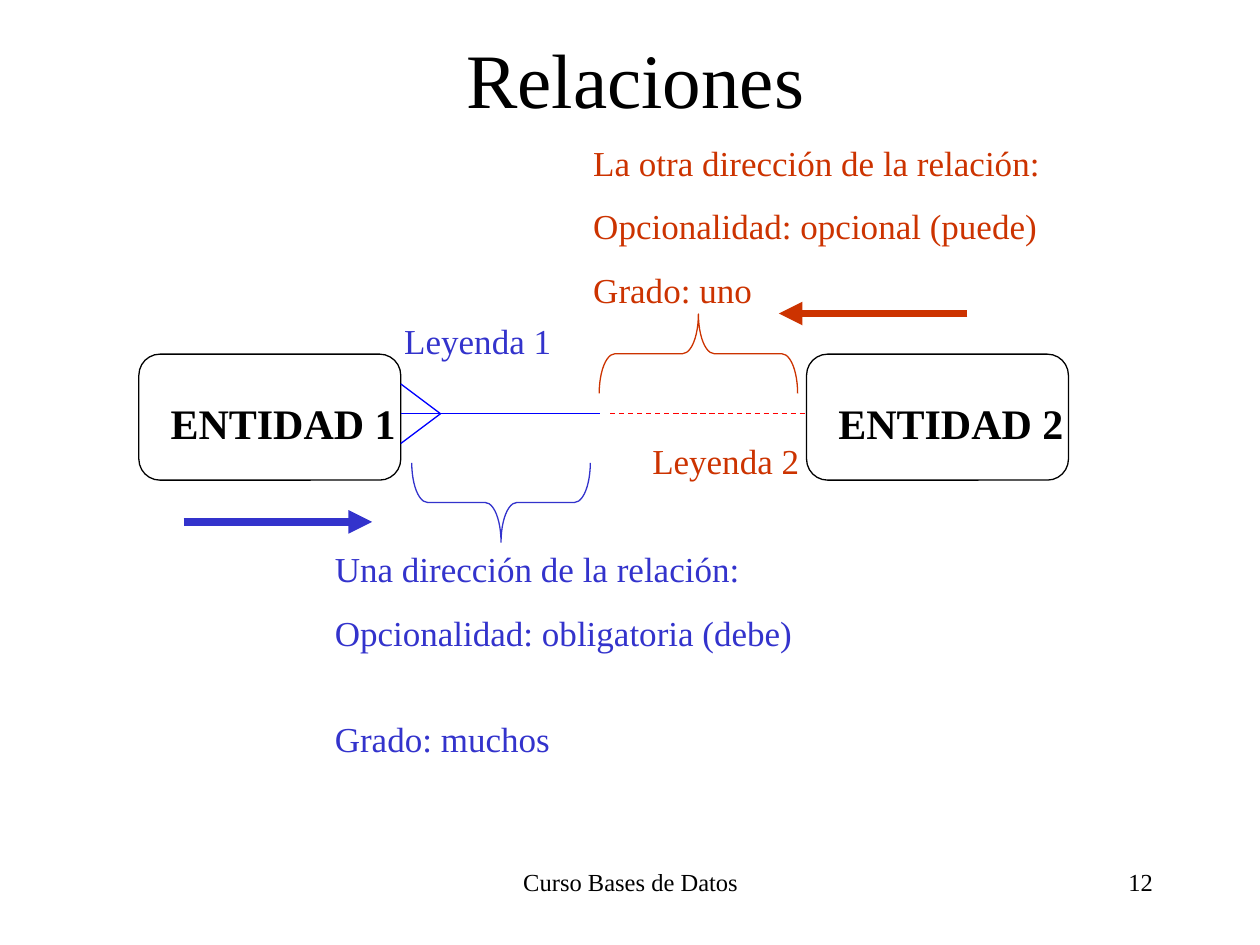
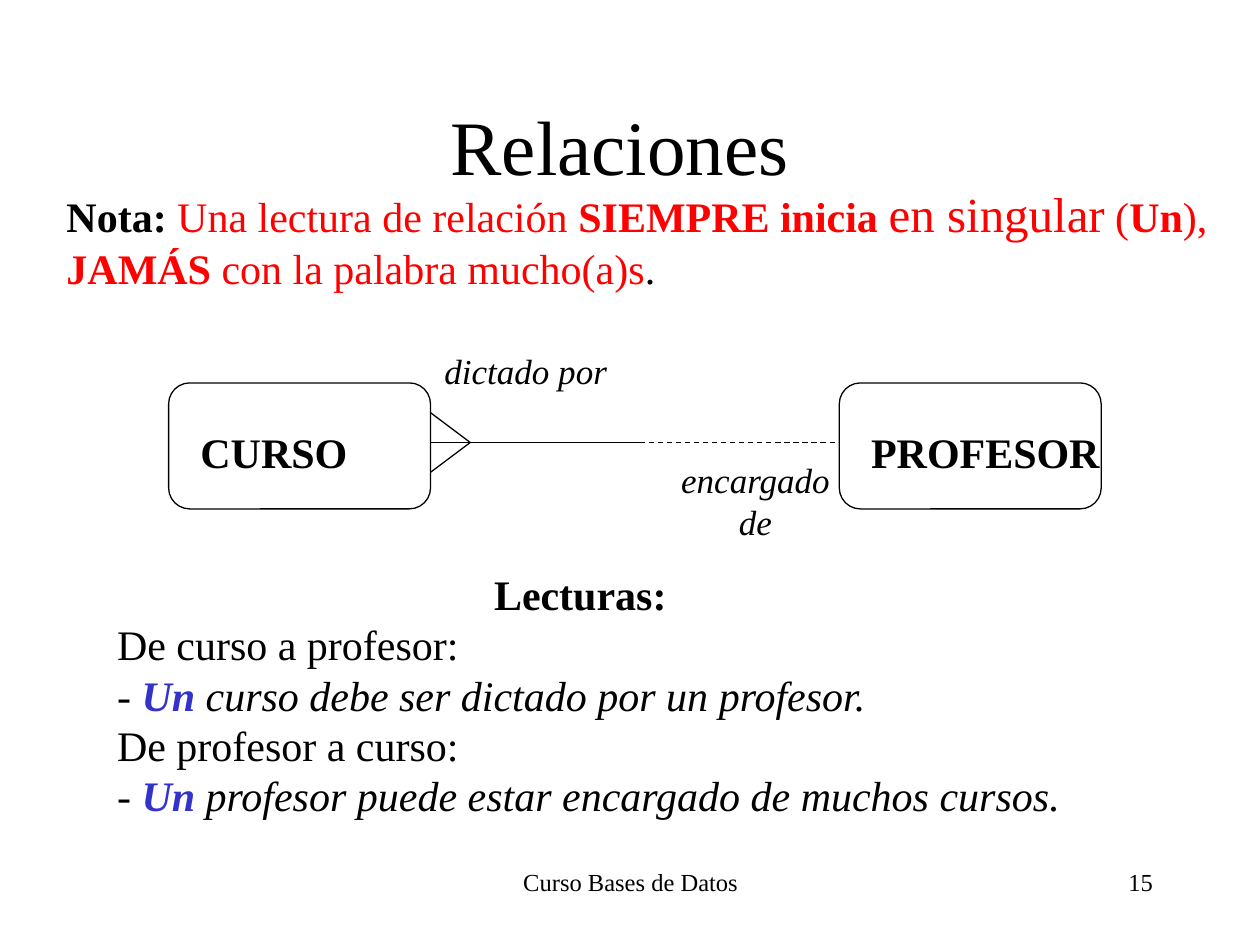
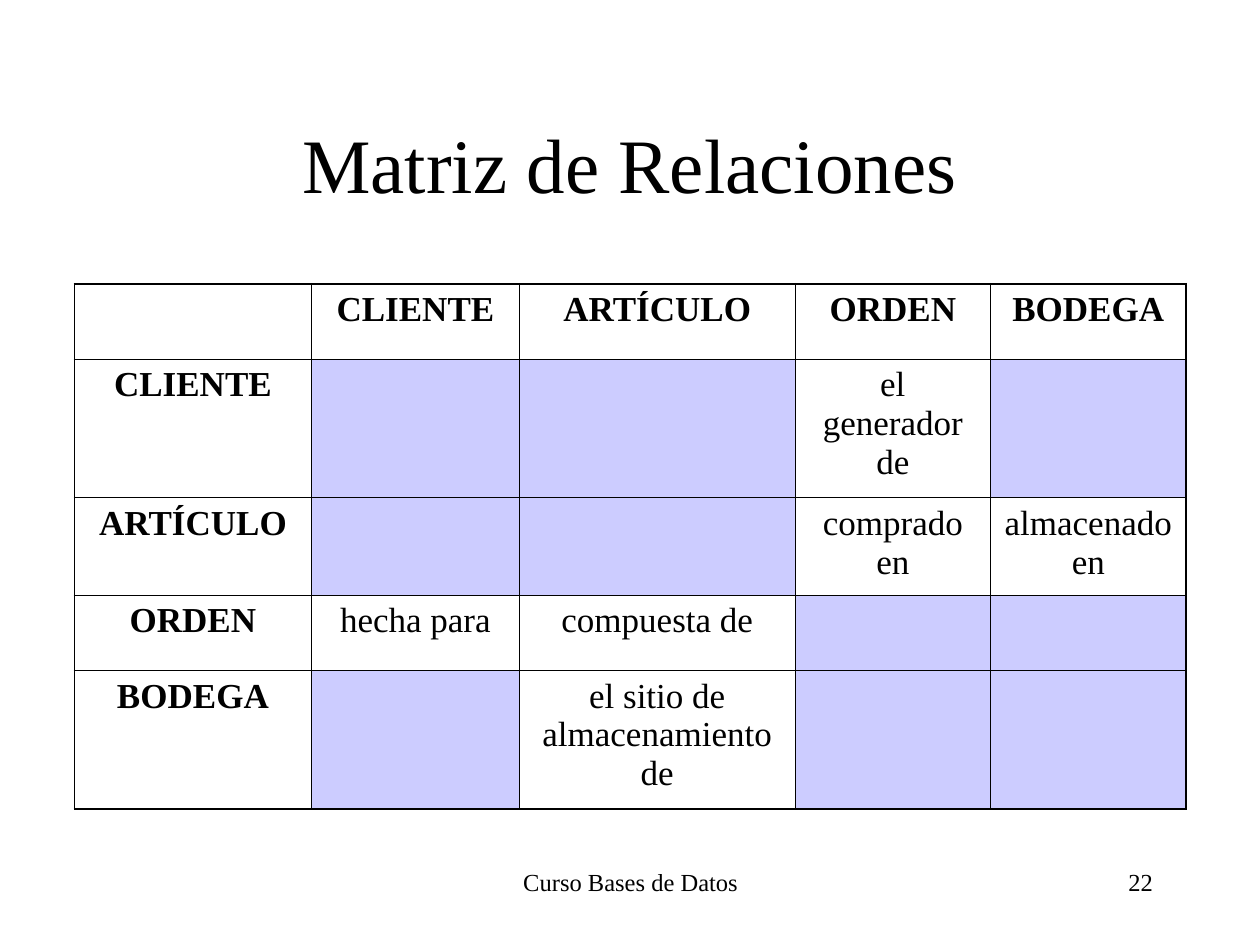
from itertools import product

from lxml.etree import SubElement
from pptx import Presentation
from pptx.dml.color import RGBColor
from pptx.enum.dml import MSO_LINE
from pptx.enum.shapes import MSO_CONNECTOR, MSO_SHAPE
from pptx.enum.text import MSO_ANCHOR as Anchor, PP_ALIGN as Align
from pptx.oxml.ns import qn
from pptx.util import Cm, Pt

BLACK = RGBColor(0x00, 0x00, 0x00)
BLUE = RGBColor(0x00, 0x00, 0xFF)
RED = RGBColor(0xFF, 0x00, 0x00)
INDIGO = RGBColor(0x33, 0x33, 0xCC)
RUST = RGBColor(0xCC, 0x33, 0x00)
LAVENDER = RGBColor(0xCC, 0xCC, 0xFF)

FONT = "Times New Roman"
FOOTER = "Curso Bases de Datos"
THIN = 0.75
ENTITY_WIDTH, ENTITY_HEIGHT = 5.28, 2.54
FOOT_LENGTH, FOOT_SPREAD = 0.8, 0.6

BOLD = {"bold": True}
ITALIC = {"italic": True}
ACCENT = {"bold": True, "italic": True, "color": INDIGO}


class Deck:
    def __init__(self):
        self.deck = Presentation()
        self.deck.slide_width, self.deck.slide_height = Cm(25.4), Cm(19.05)
        self.page = None

    def start_page(self, title, title_box, number):
        self.page = self.deck.slides.add_slide(self.deck.slide_layouts[6])
        self.text(8.69, 17.35, 8.05, 1.27, [FOOTER], size=14, align=Align.CENTER)
        self.text(18.21, 17.35, 5.28, 1.27, [number], size=14, align=Align.RIGHT)
        self.text(*title_box, [title], size=44, align=Align.CENTER, anchor=Anchor.MIDDLE)

    def fill_para(self, para, content, align=Align.LEFT, before=0, **style):
        """Fill a paragraph with a string or with (text, format) spans."""
        para.alignment, para.space_before = align, Pt(before)
        spans = [(content, {})] if isinstance(content, str) else content
        for words, changes in spans:
            span = para.add_run()
            span.text = words
            values = {"name": FONT, "size": 20, "color": BLACK, **style, **changes}
            span.font.color.rgb = values.pop("color")
            values["size"] = Pt(values["size"])
            for key, value in values.items():
                setattr(span.font, key, value)

    def text(self, left, top, width, height, lines, anchor=Anchor.TOP, **style):
        box = self.page.shapes.add_textbox(Cm(left), Cm(top), Cm(width), Cm(height))
        frame = box.text_frame
        frame.word_wrap, frame.vertical_anchor = True, anchor
        for index, line in enumerate(lines):
            para = frame.add_paragraph() if index else frame.paragraphs[0]
            self.fill_para(para, line, **style)
        return frame

    def outline(self, kind, left, top, width, height, color, adjustment):
        shape = self.page.shapes.add_shape(kind, Cm(left), Cm(top), Cm(width), Cm(height))
        shape.shadow.inherit = False
        shape.fill.background()
        shape.line.color.rgb, shape.line.width = color, Pt(THIN)
        shape.adjustments[0] = adjustment
        return shape

    def line(self, x1, y1, x2, y2, color, width=THIN, dashed=False, arrow=False):
        line = self.page.shapes.add_connector(
            MSO_CONNECTOR.STRAIGHT, Cm(x1), Cm(y1), Cm(x2), Cm(y2))
        line.line.color.rgb, line.line.width = color, Pt(width)
        properties = line._element.spPr
        if dashed:
            line.line.dash_style = MSO_LINE.DASH
        if arrow:
            SubElement(properties.find(qn("a:ln")), qn("a:tailEnd"), type="triangle")
        SubElement(properties, qn("a:effectLst"))

    def brace(self, center_x, center_y, span, rotation, color):
        """Draw a horizontal brace: 90 degrees points down, 270 points up."""
        depth = 1.6
        shape = self.outline(MSO_SHAPE.RIGHT_BRACE, center_x - depth / 2,
                             center_y - span / 2, depth, span, color, 0.2)
        shape.rotation = rotation

    def entity(self, left, top, name):
        self.outline(MSO_SHAPE.ROUNDED_RECTANGLE, left, top,
                     ENTITY_WIDTH, ENTITY_HEIGHT, BLACK, 0.167)
        self.text(left + 0.39, top + 0.75, 5.3, 1.27, [name], size=24, bold=True)

    def relation(self, top, many, one, solid_end, dash_start, colors):
        """Join two (left, name) entities: a crow's foot and solid half, a dashed half."""
        for left, name in (many, one):
            self.entity(left, top, name)
        solid, dashed = colors
        start, middle = many[0] + ENTITY_WIDTH, top + 1.2
        self.line(start, middle, solid_end, middle, solid)
        self.line(dash_start, middle, one[0], middle, dashed, dashed=True)
        for spread in (-FOOT_SPREAD, FOOT_SPREAD):
            self.line(start, middle + spread, start + FOOT_LENGTH, middle, solid)

    def border(self, cell, sides):
        """Add cell borders from a dict of side letter to width in points."""
        properties = cell._tc.get_or_add_tcPr()
        for side, width in sides.items():
            edge = SubElement(properties, qn(f"a:ln{side}"), w=str(Pt(width)))
            fill = SubElement(edge, qn("a:solidFill"))
            SubElement(fill, qn("a:srgbClr"), val=str(BLACK))

    def matrix(self, left, top, widths, heights, rows):
        """Draw a table whose first row and column are headings; empty cells are shaded."""
        table = self.page.shapes.add_table(
            len(heights), len(widths), Cm(left), Cm(top),
            Cm(sum(widths)), Cm(sum(heights))).table
        table.first_row = table.horz_banding = False
        for column, width in zip(table.columns, widths):
            column.width = Cm(width)
        for row, height in zip(table.rows, heights):
            row.height = Cm(height)
        last_row, last_column = len(heights) - 1, len(widths) - 1
        for r, c in product(range(len(heights)), range(len(widths))):
            cell, words, heading = table.cell(r, c), rows[r][c], r == 0 or c == 0
            outer = {"L": c == 0, "R": c == last_column, "T": r == 0, "B": r == last_row}
            self.border(cell, {side: 1.08 if edge else 0.45 for side, edge in outer.items()})
            if words or heading:
                cell.fill.background()
            else:
                cell.fill.solid()
                cell.fill.fore_color.rgb = LAVENDER
            if words:
                self.fill_para(cell.text_frame.paragraphs[0], words,
                               align=Align.CENTER, before=5, bold=heading)


def directions_page(deck):
    deck.start_page("Relaciones", (2.11, 0.71, 21.41, 1.73), "12")
    deck.relation(7.14, (2.8, "ENTIDAD 1"), (16.26, "ENTIDAD 2"), 12.1, 12.3, (BLUE, RED))
    deck.brace(10.1, 10.13, 3.6, 90, INDIGO)
    deck.brace(14.08, 7.13, 4, 270, RUST)
    forward = deck.text(6.5, 10.92, 9.9, 4.52, [
        "Una dirección de la relación:",
        "Opcionalidad: obligatoria (debe)",
        "Grado: muchos"], before=12.5, color=INDIGO)
    forward.paragraphs[-1].space_before = Pt(36.5)
    deck.text(11.71, 2.72, 10, 3.68, [
        "La otra dirección de la relación:",
        "Opcionalidad: opcional (puede)",
        "Grado: uno"], before=12.5, color=RUST)
    deck.text(7.9, 6.32, 4, 1.12, ["Leyenda 1"], color=INDIGO)
    deck.text(12.9, 8.74, 4, 1.12, ["Leyenda 2"], color=RUST)
    deck.line(19.5, 6.32, 15.7, 6.32, RUST, 4.5, arrow=True)
    deck.line(3.7, 10.52, 7.5, 10.52, INDIGO, 4.5, arrow=True)


def readings_page(deck):
    deck.start_page("Relaciones", (1.7, 1.32, 21.59, 3.18), "15")
    deck.relation(7.72, (3.4, "CURSO"), (16.92, "PROFESOR"), 12.9, 12.9, (BLACK, BLACK))
    deck.text(8.71, 6.93, 4, 1.12, ["dictado por"], italic=True)
    deck.text(13.23, 9.12, 4, 1.96, ["encargado de"], italic=True, align=Align.CENTER)
    readings = deck.text(2.11, 11.33, 20, 5.33, [
        [("Lecturas:", BOLD)],
        "De curso a profesor:",
        [("- ", ITALIC), ("Un", ACCENT), (" curso debe ser dictado por un profesor.", ITALIC)],
        "De profesor a curso:",
        [("- ", ITALIC), ("Un", ACCENT),
         (" profesor puede estar encargado de muchos cursos.", ITALIC)],
    ], size=24)
    readings.paragraphs[0]._p.get_or_add_pPr().set("marL", str(Cm(7.6)))
    deck.text(1.09, 3.58, 24, 2.46, [
        [("Nota: ", {"bold": True, "color": BLACK}), ("Una lectura de relación ", {}),
         ("SIEMPRE inicia ", BOLD), ("en singular", {"size": 28}), (" (", {}),
         ("Un", BOLD), ("),", {})],
        [("JAMÁS ", BOLD), ("con la palabra mucho(a)s", {}), (".", {"color": BLACK})],
    ], size=24, color=RED)


def matrix_page(deck):
    deck.start_page("Matriz de Relaciones", (1.9, 1.7, 21.59, 3.18), "22")
    names = ["CLIENTE", "ARTÍCULO", "ORDEN", "BODEGA"]
    links = [
        ["", "", "el generador de", ""],
        ["", "", "comprado en", "almacenado en"],
        ["hecha para", "compuesta de", "", ""],
        ["", "el sitio de almacenamiento de", "", ""],
    ]
    rows = [["", *names]] + [[name, *row] for name, row in zip(names, links)]
    deck.matrix(1.5, 5.72, [4.78, 4.19, 5.56, 3.94, 3.94],
                [1.52, 2.79, 1.96, 1.52, 2.79], rows)


def main():
    deck = Deck()
    for build_page in (directions_page, readings_page, matrix_page):
        build_page(deck)
    deck.deck.save("out.pptx")


if __name__ == "__main__":
    main()
